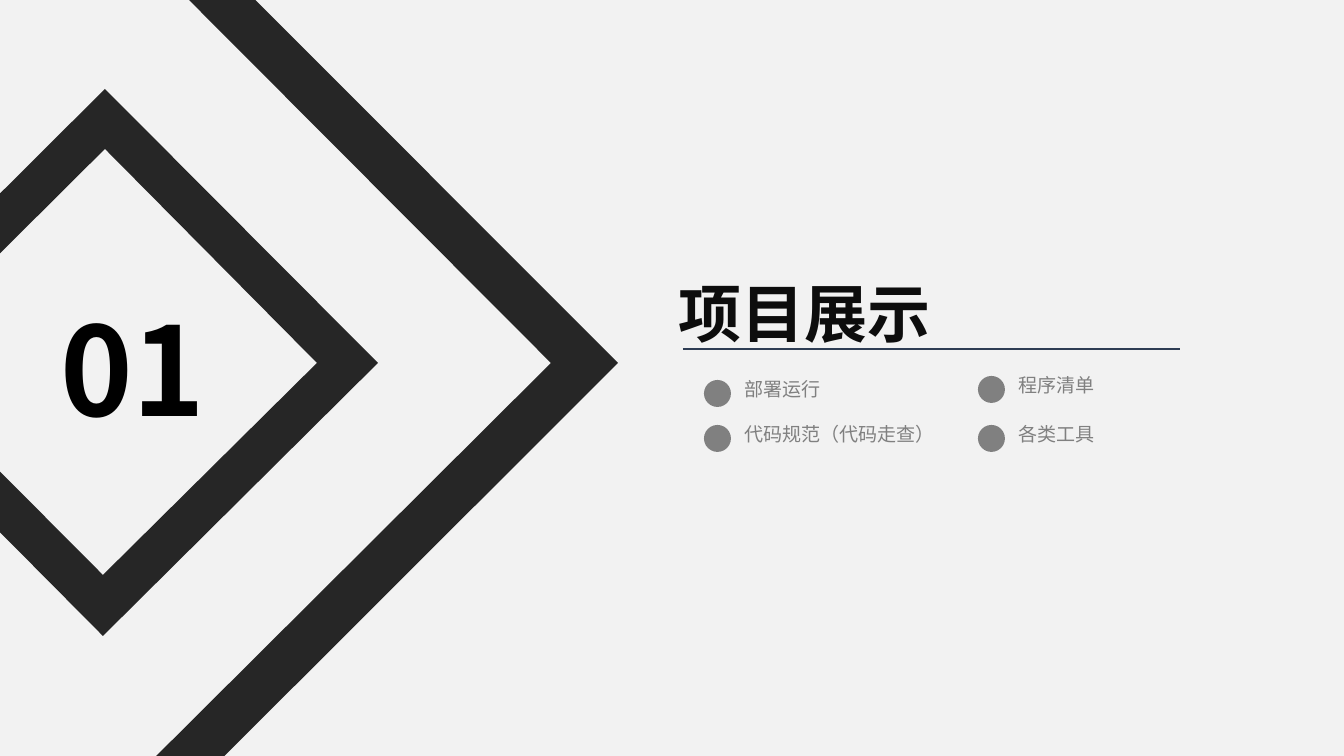
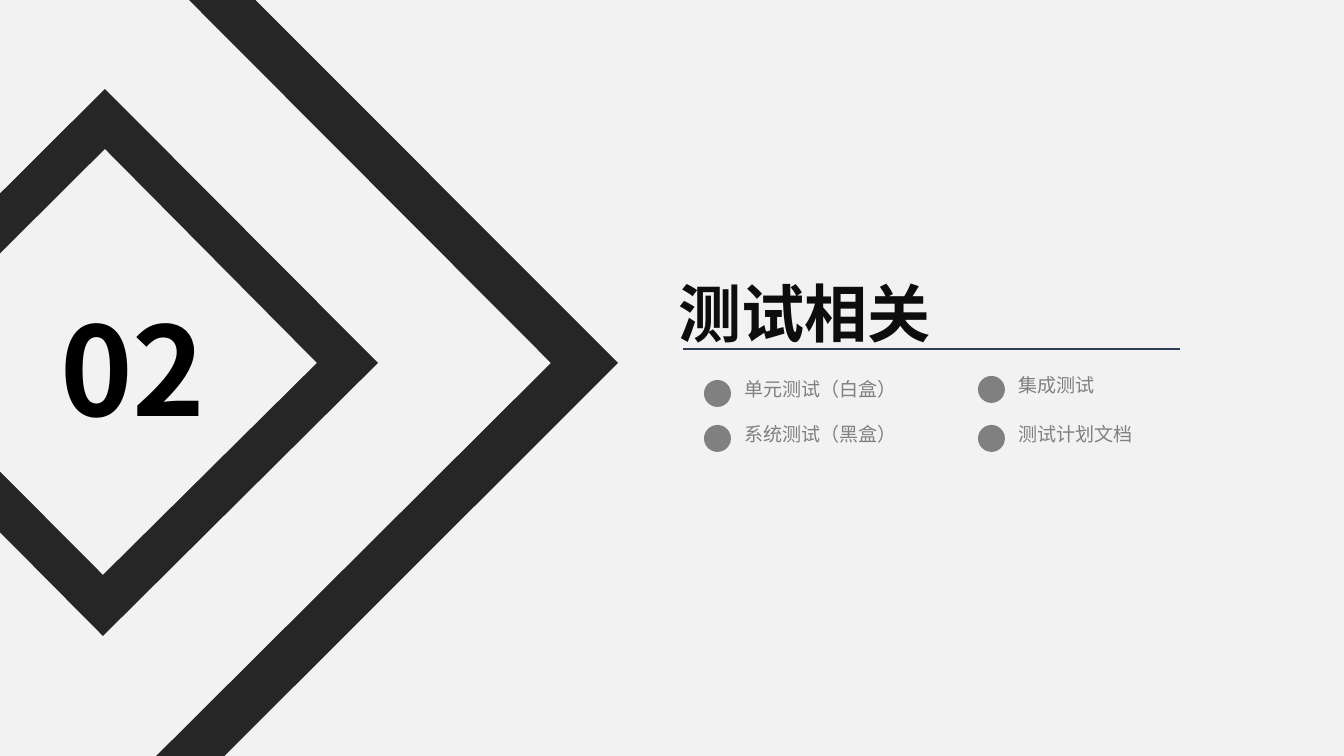
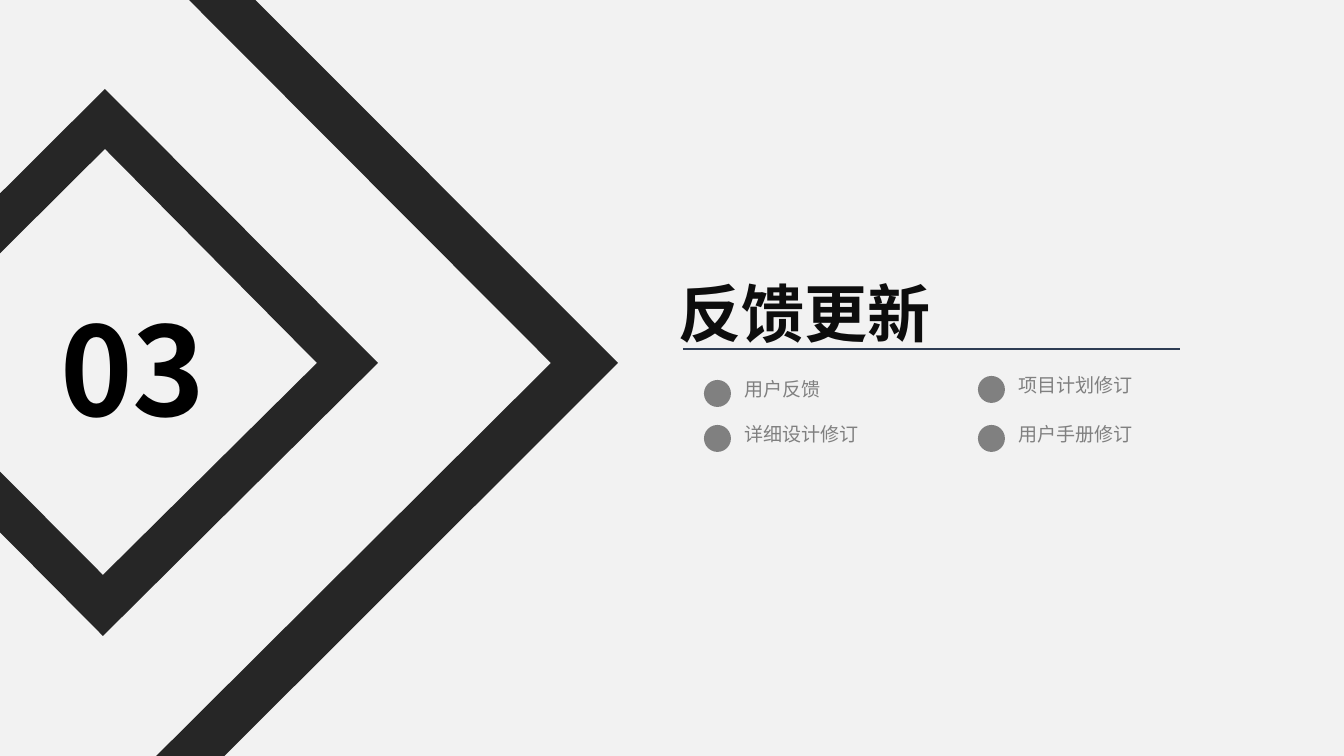
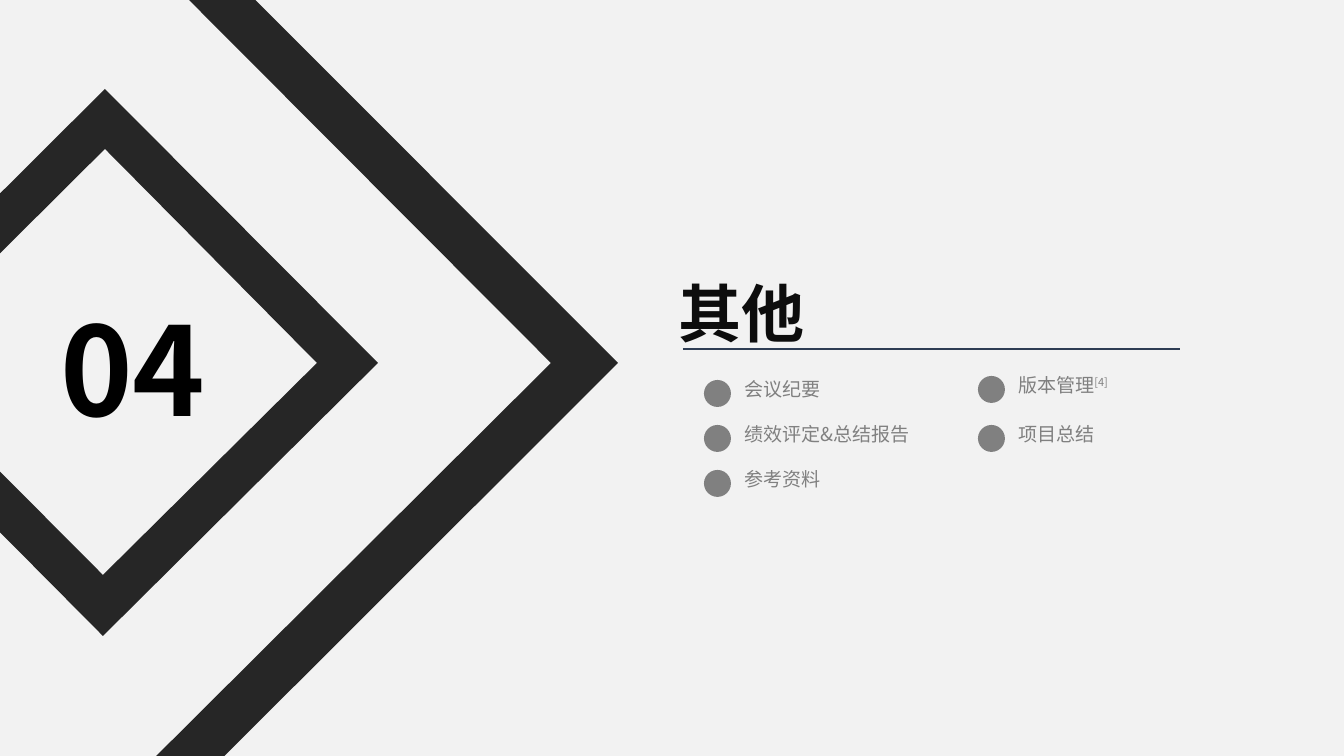
import typing
from dataclasses import dataclass

import pptx
import pptx.dml.color
import pptx.enum.shapes
import pptx.enum.text
import pptx.oxml.ns
import pptx.shapes.base
import pptx.slide
import pptx.text.text
import pptx.util
from lxml import etree

EMU_PER_PX = 914400 / 134.4
TITLE_ONLY_LAYOUT = 5

Point = tuple[int, int]


@dataclass(frozen=True)
class Theme:
    font: str = "Noto Sans CJK SC"
    background: str = "F2F2F2"
    frame: str = "262626"
    title: str = "0D0D0D"
    number: str = "000000"
    topic: str = "808080"
    rule: str = "2E3D54"
    title_size: float = 33.8
    number_size: float = 66
    topic_size: float = 10.2
    rule_width: float = 0.75


class Box(typing.NamedTuple):
    left: int
    top: int
    width: int
    height: int


class Column(typing.NamedTuple):
    left: int
    top: int
    pitch: int
    text_width: int


class Topic(typing.NamedTuple):
    text: str
    reference: str = ""


class Section(typing.NamedTuple):
    number: str
    title: str
    left_topics: list[Topic]
    right_topics: list[Topic]


THEME = Theme()

# Shared layout
TITLE_BOX = Box(665, 267, 602, 90)
NUMBER_BOX = Box(47, 286, 179, 163)
RULE_START, RULE_END = (683, 349), (1180, 349)
LEFT_COLUMN = Column(704, 380, 45, 274)
RIGHT_COLUMN = Column(978, 376, 49, 270)
DOT_SIZE = 27
TOPIC_HEIGHT = 36
TOPIC_RISE = 9

CHEVRON: list[list[Point]] = [
    [(-85, -341), (618, 363), (-86, 1066), (-120, 1031), (551, 363), (-118, -308)],
]
DIAMOND: list[list[Point]] = [
    [(105, 149), (-109, 362), (103, 575), (317, 363)],
    [(105, 89), (378, 363), (103, 636), (-169, 362)],
]

SECTIONS = [
    Section("01", "项目展示",
            [Topic("部署运行"), Topic("代码规范（代码走查）")],
            [Topic("程序清单"), Topic("各类工具")]),
    Section("02", "测试相关",
            [Topic("单元测试（白盒）"), Topic("系统测试（黑盒）")],
            [Topic("集成测试"), Topic("测试计划文档")]),
    Section("03", "反馈更新",
            [Topic("用户反馈"), Topic("详细设计修订")],
            [Topic("项目计划修订"), Topic("用户手册修订")]),
    Section("04", "其他",
            [Topic("会议纪要"), Topic("绩效评定&总结报告"), Topic("参考资料")],
            [Topic("版本管理", "[4]"), Topic("项目总结")]),
]


def px(value: int) -> pptx.util.Emu:
    return pptx.util.Emu(round(value * EMU_PER_PX))


def rgb(color: str) -> pptx.dml.color.RGBColor:
    return pptx.dml.color.RGBColor.from_string(color)


def paint(shape: pptx.shapes.base.BaseShape, color: str) -> None:
    shape.shadow.inherit = False
    shape.fill.solid()
    shape.fill.fore_color.rgb = rgb(color)
    shape.line.fill.background()


def write(frame: pptx.text.text.TextFrame, text: str, size: float, color: str,
          bold: bool = False, wrap: bool = True) -> pptx.text.text._Paragraph:
    """Fill a text frame with one left-aligned paragraph."""
    frame.word_wrap = wrap
    frame.auto_size = pptx.enum.text.MSO_AUTO_SIZE.SHAPE_TO_FIT_TEXT
    frame.vertical_anchor = pptx.enum.text.MSO_ANCHOR.MIDDLE
    paragraph = frame.paragraphs[0]
    paragraph.alignment = pptx.enum.text.PP_ALIGN.LEFT
    paragraph.add_run().text = text
    font = paragraph.font
    font.name = THEME.font
    font.size = pptx.util.Pt(size)
    font.bold = bold
    font.color.rgb = rgb(color)
    # East Asian characters take their own typeface element
    properties = paragraph._p.get_or_add_pPr().find(pptx.oxml.ns.qn("a:defRPr"))
    east_asian = etree.SubElement(properties, pptx.oxml.ns.qn("a:ea"))
    east_asian.set("typeface", THEME.font)
    return paragraph


def add_title(slide: pptx.slide.Slide, text: str) -> None:
    title = slide.shapes.title
    title.left, title.top, title.width, title.height = map(px, TITLE_BOX)
    write(title.text_frame, text, THEME.title_size, THEME.title, bold=True)


def add_rule(slide: pptx.slide.Slide) -> None:
    rule = slide.shapes.add_connector(
        pptx.enum.shapes.MSO_CONNECTOR.STRAIGHT, *map(px, RULE_START + RULE_END))
    rule.line.color.rgb = rgb(THEME.rule)
    rule.line.width = pptx.util.Pt(THEME.rule_width)
    etree.SubElement(rule._element.spPr, pptx.oxml.ns.qn("a:effectLst"))


def add_topics(slide: pptx.slide.Slide, column: Column, topics: list[Topic]) -> None:
    for row, topic in enumerate(topics):
        top = column.top + row * column.pitch
        group = slide.shapes.add_group_shape()
        dot = group.shapes.add_shape(
            pptx.enum.shapes.MSO_SHAPE.OVAL,
            *map(px, Box(column.left, top, DOT_SIZE, DOT_SIZE)))
        paint(dot, THEME.topic)
        label = group.shapes.add_textbox(
            *map(px, Box(column.left + DOT_SIZE, top - TOPIC_RISE,
                         column.text_width, TOPIC_HEIGHT)))
        paragraph = write(label.text_frame, topic.text, THEME.topic_size, THEME.topic)
        if topic.reference:
            reference = paragraph.add_run()
            reference.text = topic.reference
            reference._r.get_or_add_rPr().set("baseline", "30000")


def add_number(slide: pptx.slide.Slide, number: str) -> None:
    label = slide.shapes.add_textbox(*map(px, NUMBER_BOX))
    write(label.text_frame, number, THEME.number_size, THEME.number,
          bold=True, wrap=False)


def add_outline(slide: pptx.slide.Slide, contours: list[list[Point]]) -> None:
    builder = slide.shapes.build_freeform(*contours[0][0], scale=EMU_PER_PX)
    for index, contour in enumerate(contours):
        if index:
            builder.move_to(*contour[0])
        builder.add_line_segments(contour[1:], close=True)
    paint(builder.convert_to_shape(), THEME.frame)


def add_section(presentation: pptx.presentation.Presentation, section: Section) -> None:
    slide = presentation.slides.add_slide(presentation.slide_layouts[TITLE_ONLY_LAYOUT])
    add_title(slide, section.title)
    add_rule(slide)
    add_topics(slide, LEFT_COLUMN, section.left_topics)
    add_topics(slide, RIGHT_COLUMN, section.right_topics)
    add_number(slide, section.number)
    add_outline(slide, CHEVRON)
    add_outline(slide, DIAMOND)


def main() -> None:
    presentation = pptx.Presentation()
    presentation.slide_width, presentation.slide_height = px(1344), px(756)
    background = presentation.slide_master.background.fill
    background.solid()
    background.fore_color.rgb = rgb(THEME.background)
    for section in SECTIONS:
        add_section(presentation, section)
    presentation.save("out.pptx")


if __name__ == "__main__":
    main()
